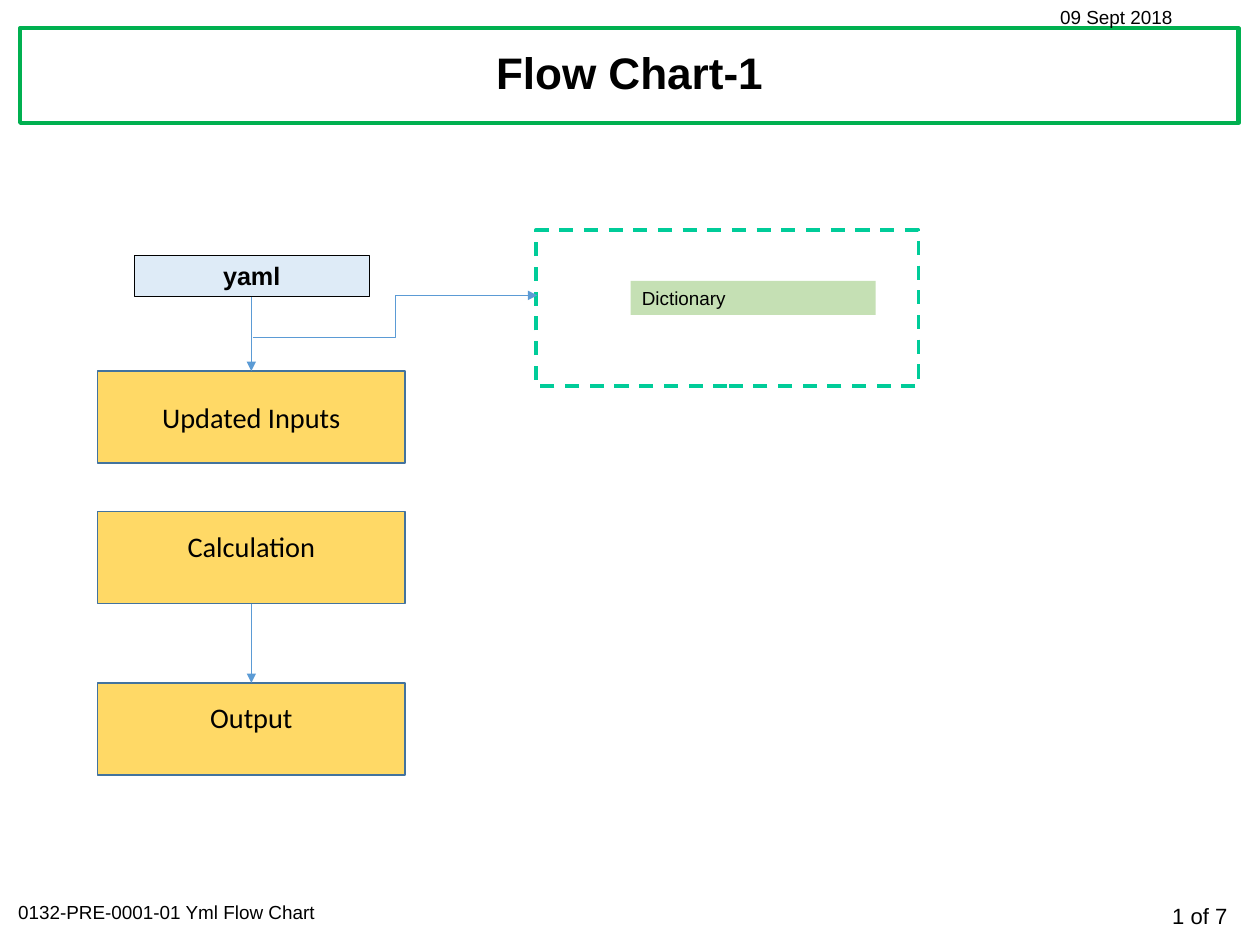
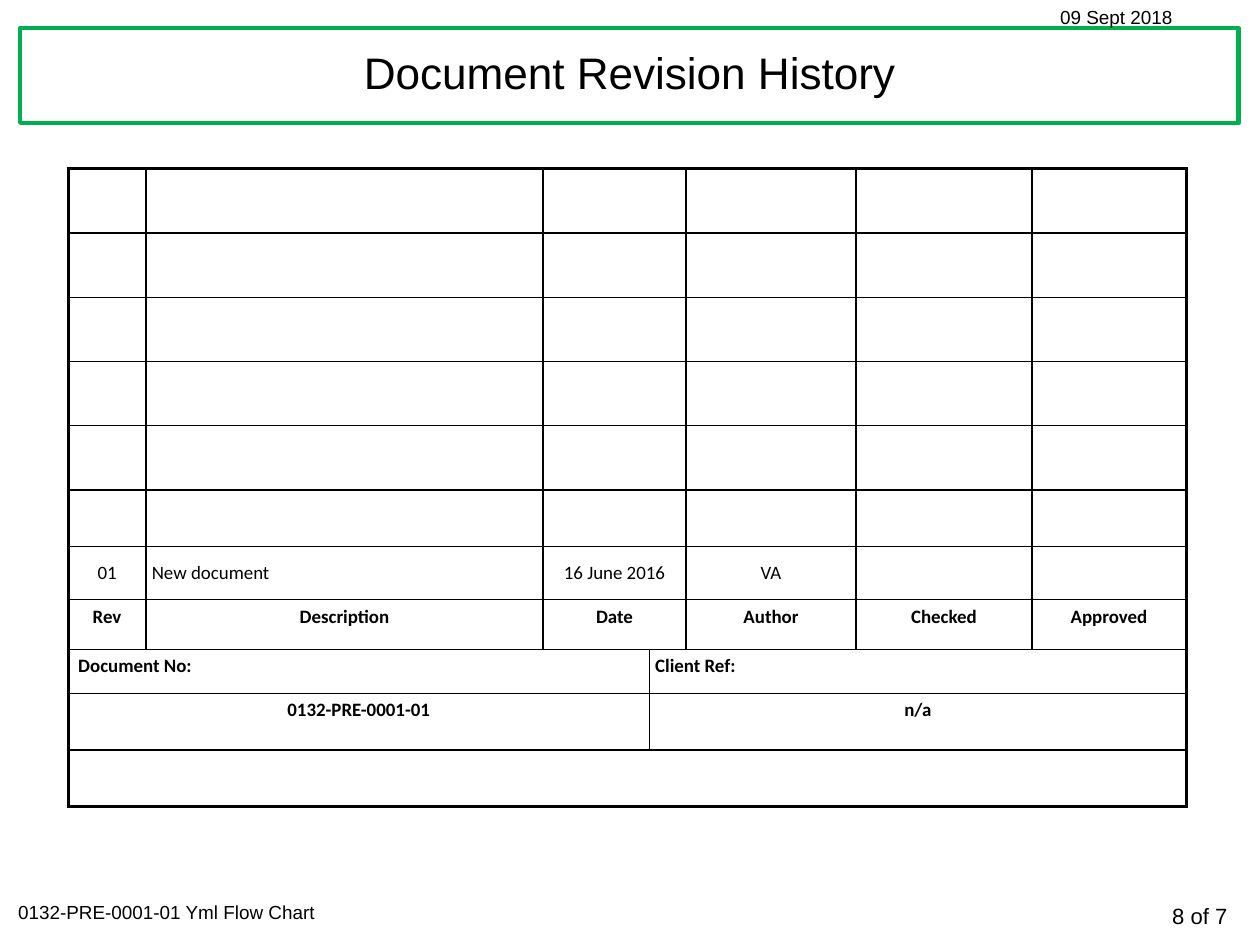
from pptx import Presentation, util as u
from pptx.dml.color import RGBColor
from pptx.enum import dml, shapes, text
from pptx.oxml.ns import qn
from lxml import etree

# Slide grid: 100 columns by 75 rows of square cells
COLS, ROWS = 100, 75
WIDTH, HEIGHT = u.Inches(11.11), u.Inches(8.33)
BLACK, WHITE, GREEN, TEAL = "000000", "FFFFFF", "00B050", "00CC99"
PALE_BLUE, PALE_GREEN, YELLOW = "DEEBF7", "C5E0B4", "FFD966"
STEP_EDGE, ARROW_BLUE = "43739E", "5B9BD5"
CENTER, LEFT, RIGHT = text.PP_ALIGN.CENTER, text.PP_ALIGN.LEFT, text.PP_ALIGN.RIGHT
TOP, MIDDLE = text.MSO_ANCHOR.TOP, text.MSO_ANCHOR.MIDDLE


def gx(cols):
    return round(cols * WIDTH / COLS)


def gy(rows):
    return round(rows * HEIGHT / ROWS)


def place(box, x, y, w, h):
    """Grid position inside a region, as EMU."""
    return gx(box[0] + x), gy(box[1] + y), gx(w), gy(h)


def color(hex_text):
    return RGBColor.from_string(hex_text)


def write(p, words, size, font="Arial", bold=False, align=LEFT):
    p.alignment = align
    r = p.add_run()
    r.text = words
    r.font.size, r.font.name, r.font.bold = u.Pt(size), font, bold
    r.font.color.rgb = color(BLACK)


def add_box(s, pos, fill=None, line=None, width=1.0, dash=False):
    sp = s.shapes.add_shape(shapes.MSO_SHAPE.RECTANGLE, *pos)
    sp.shadow.inherit = False
    if fill:
        sp.fill.solid()
        sp.fill.fore_color.rgb = color(fill)
    else:
        sp.fill.background()
    if line:
        sp.line.color.rgb = color(line)
        sp.line.width = u.Pt(width)
        if dash:
            sp.line.dash_style = dml.MSO_LINE.DASH
    else:
        sp.line.fill.background()
    return sp


def label(sp, words, size, anchor=TOP, **style):
    tf = sp.text_frame
    tf.word_wrap = True
    tf.vertical_anchor = anchor
    write(tf.paragraphs[0], words, size, **style)
    return tf


def add_text(s, pos, words, size, **style):
    return label(s.shapes.add_textbox(*pos), words, size, **style)


def add_arrow(s, box, kind, x1, y1, x2, y2):
    cx = s.shapes.add_connector(kind, gx(box[0] + x1), gy(box[1] + y1),
                                gx(box[0] + x2), gy(box[1] + y2))
    cx.line.color.rgb = color(ARROW_BLUE)
    cx.line.width = u.Pt(0.5)
    etree.SubElement(cx.line._get_or_add_ln(), qn("a:tailEnd"), type="triangle")
    etree.SubElement(cx._element.spPr, qn("a:effectLst"))


def base_slide(prs, title, page, bold=False):
    """Title band, date and footer shared by all slides."""
    s = prs.slides.add_slide(prs.slide_layouts[6])
    page_box = (0, 0)
    band = place(page_box, 1.6, 2.25, 96.7, 7.5)
    add_box(s, band, WHITE, GREEN, 2.75)
    add_text(s, place(page_box, 84.6, 71.2, 13.7, 3.1), f"{page} of 7", 14, align=RIGHT)
    add_text(s, place(page_box, 0.55, 71, 35.9, 2.7), "0132-PRE-0001-01 Yml Flow Chart", 12)
    add_text(s, place(page_box, 83.25, 0, 15.1, 2.7), "09 Sept 2018", 12)
    p = add_text(s, band, title, 28, anchor=MIDDLE, bold=bold, align=CENTER).paragraphs[0]
    p.line_spacing, p.space_before = 0.9, u.Pt(10)
    return s


def flow_chart(s, box):
    step_w, step_h, axis = 24.4, 7.3, 12.2
    inputs_y, calc_y, output_y = 11.2, 22.35, 35.95
    yaml_bottom = 5.3

    # Source file and processing steps; the last two labels sit a little higher
    yaml = add_box(s, place(box, 2.9, 2, 18.65, 3.3), PALE_BLUE, BLACK, 0.75)
    label(yaml, "yaml", 16, bold=True, align=CENTER)
    for words, y, bottom in (("Updated Inputs", inputs_y, 0.05),
                             ("Calculation", calc_y, 0.25),
                             ("Output", output_y, 0.25)):
        step = add_box(s, place(box, 0, y, step_w, step_h), YELLOW, STEP_EDGE)
        tf = label(step, words, 18, anchor=MIDDLE, font="Calibri", align=CENTER)
        tf.margin_bottom = u.Inches(bottom)

    # Dictionary group
    add_box(s, place(box, 34.8, 0, 30.35, 12.4), None, TEAL, 2.25, dash=True)
    entry = add_box(s, place(box, 42.3, 4.05, 19.45, 2.7), PALE_GREEN)
    label(entry, "Dictionary", 12)

    # Arrows
    straight, elbow = shapes.MSO_CONNECTOR.STRAIGHT, shapes.MSO_CONNECTOR.ELBOW
    add_arrow(s, box, straight, axis, yaml_bottom, axis, inputs_y)
    add_arrow(s, box, straight, axis, calc_y + step_h, axis, output_y)
    add_arrow(s, box, elbow, axis + 0.1, 8.55, 34.9, 5.2)


def set_border(cell, side, width):
    tc_pr = cell._tc.get_or_add_tcPr()
    ln = etree.SubElement(tc_pr, qn(f"a:ln{side}"), w=str(u.Pt(width)))
    fill = etree.SubElement(ln, qn("a:solidFill"))
    etree.SubElement(fill, qn("a:srgbClr"), val=BLACK)


def style_cell(cell, row, col, n_rows, n_cols):
    """Thin grid lines, thick outer frame, no fill."""
    last_col = col + (cell.span_width if cell.is_merge_origin else 1) == n_cols
    edges = {"L": col == 0, "R": last_col, "T": row == 0, "B": row == n_rows - 1}
    for side, outer in edges.items():
        if outer or side in "TB" or not cell.is_spanned:
            set_border(cell, side, 2.25 if outer else 1)
    cell.fill.background()
    cell.margin_left = cell.margin_right = u.Inches(0.05)
    cell.margin_top = cell.margin_bottom = u.Inches(0.05)


def revision_table(s, box):
    widths = [6.2, 31.5, 8.45, 2.9, 13.5, 13.95, 12.25]
    heights = [5.1] * 5 + [4.5, 4.2, 3.95, 3.5, 4.5, 4.5]
    n_rows, n_cols = len(heights), len(widths)
    entry, heads, refs, values, last = range(6, n_rows)
    frame = s.shapes.add_table(n_rows, n_cols,
                               *place(box, 0, 0, sum(widths), sum(heights)))
    tb = frame.table
    tb.first_row = tb.horz_banding = False
    for column, w in zip(tb.columns, widths):
        column.width = gx(w)
    for row, h in zip(tb.rows, heights):
        row.height = gy(h)

    # Merged cells: row, first column, last column
    spans = [(r, 2, 3) for r in range(refs)]
    spans += [(r, a, b) for r in (refs, values) for a, b in ((0, 2), (3, 6))]
    spans.append((last, 0, 6))
    for r, a, b in spans:
        tb.cell(r, a).merge(tb.cell(r, b))
    for r in range(n_rows):
        for c in range(n_cols):
            style_cell(tb.cell(r, c), r, c, n_rows, n_cols)

    # Wording by row and column
    words = {
        entry: {0: "01", 1: "New document", 2: "16 June 2016", 4: "VA"},
        heads: {0: "Rev", 1: "Description", 2: "Date", 4: "Author",
                5: "Checked", 6: "Approved"},
        refs: {0: "Document No:", 3: "Client Ref:"},
        values: {0: "0132-PRE-0001-01", 3: "n/a"},
    }
    for r, cells in words.items():
        for c, content in cells.items():
            cell = tb.cell(r, c)
            cell.vertical_anchor = MIDDLE if r == entry else TOP
            at_left = r == refs or (r, c) == (entry, 1)
            write(cell.text_frame.paragraphs[0], content, 12, "Calibri",
                  bold=r != entry, align=LEFT if at_left else CENTER)
    tb.cell(refs, 0).margin_left = u.Inches(0.09)


def main():
    prs = Presentation()
    prs.slide_width, prs.slide_height = WIDTH, HEIGHT
    flow_chart(base_slide(prs, "Flow Chart-1", 1, bold=True), (7.75, 18.25))
    revision_table(base_slide(prs, "Document Revision History", 8), (5.4, 13.4))
    prs.save("out.pptx")


if __name__ == "__main__":
    main()
